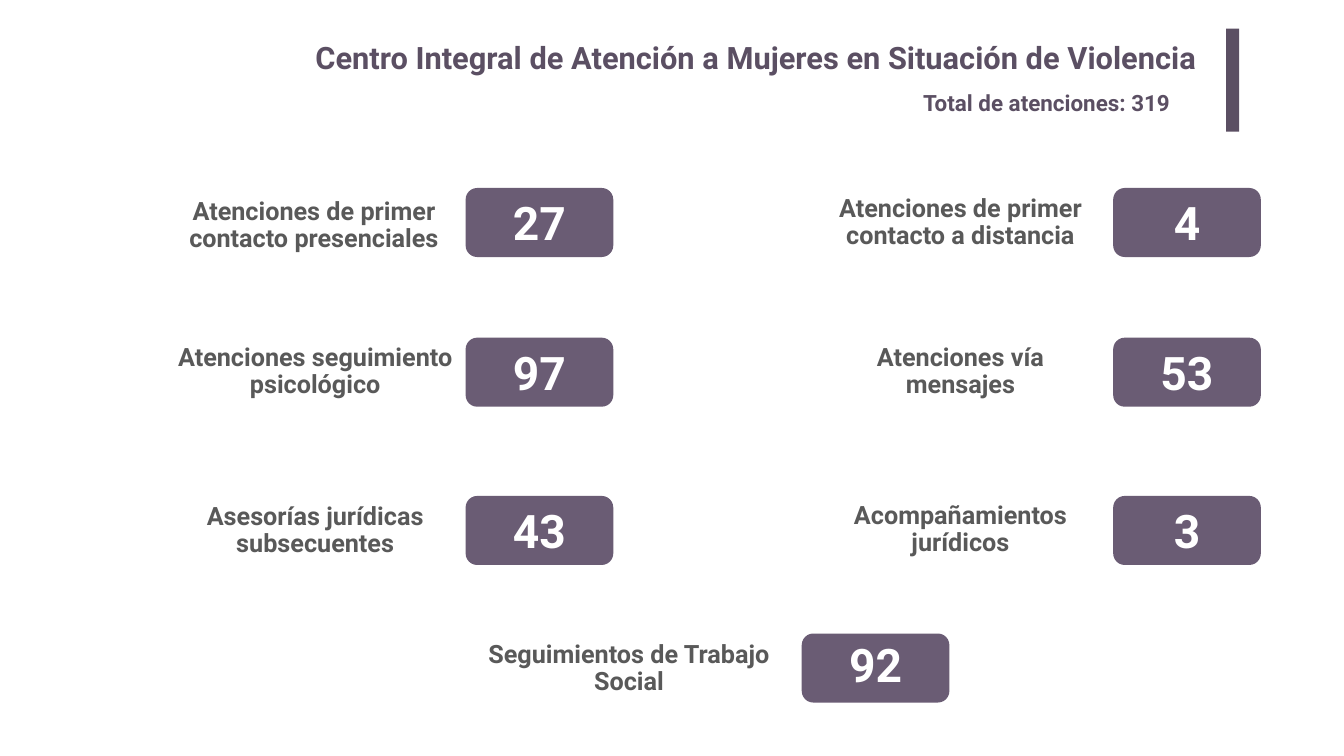
from dataclasses import dataclass

from pptx import Presentation
from pptx.dml.color import RGBColor
from pptx.enum import shapes, text
from pptx.util import Inches, Pt

FONT = "Roboto"
HEADING = RGBColor(0x5B, 0x4F, 0x63)
BADGE = RGBColor(0x6A, 0x5C, 0x74)
LABEL = RGBColor(0x59, 0x59, 0x59)
WHITE = RGBColor(0xFF, 0xFF, 0xFF)

BADGE_WIDTH, BADGE_HEIGHT = 2.93, 1.37
COUNT_WIDTH, COUNT_HEIGHT = 2.04, 1.21
LEFT_BADGE, RIGHT_BADGE, LAST_BADGE = 9.24, 22.09, 15.91
ROWS = (3.73, 6.7, 9.84, 12.57)
COUNT_OFFSET = (BADGE_HEIGHT - COUNT_HEIGHT) / 2


@dataclass(frozen=True)
class Box:
    left: float
    top: float
    width: float
    height: float

    def lengths(self):
        return [Inches(v) for v in (self.left, self.top, self.width, self.height)]


@dataclass(frozen=True)
class Indicator:
    label: str
    count: int
    label_box: Box
    badge_left: float
    badge_top: float
    count_offset: float = COUNT_OFFSET


INDICATORS = (
    Indicator("Atenciones de primer contacto presenciales", 27,
              Box(3.49, 3.8, 5.48, 1.37), LEFT_BADGE, ROWS[0]),
    Indicator("Atenciones de primer contacto a distancia", 4,
              Box(16.48, 3.81, 5.16, 1.21), RIGHT_BADGE, ROWS[0]),
    Indicator("Atenciones seguimiento psicológico", 97,
              Box(2.35, 7.12, 7.81, 0.53), LEFT_BADGE, ROWS[1]),
    Indicator("Atenciones vía mensajes", 53,
              Box(16.56, 6.86, 5, 1.05), RIGHT_BADGE, ROWS[1]),
    Indicator("Asesorías jurídicas subsecuentes", 43,
              Box(3.23, 10.13, 6.05, 0.8), LEFT_BADGE, ROWS[2]),
    Indicator("Acompañamientos jurídicos", 3,
              Box(15.83, 10.2, 6.46, 0.64), RIGHT_BADGE, ROWS[2]),
    Indicator("Seguimientos de Trabajo Social", 92,
              Box(9.24, 12.57, 6.48, 1.41), LAST_BADGE, ROWS[3], 0),
)


def write(shape, content: str, size: int, color: RGBColor, align,
          anchor=text.MSO_ANCHOR.TOP):
    """Fill the shape with one bold paragraph and return that paragraph."""
    frame = shape.text_frame
    frame.word_wrap = True
    frame.vertical_anchor = anchor
    paragraph = frame.paragraphs[0]
    paragraph.text = content
    paragraph.alignment = align
    font = paragraph.font
    font.name, font.size, font.bold = FONT, Pt(size), True
    font.color.rgb = color
    return paragraph


def add_block(slide, kind, box: Box, color: RGBColor):
    """Add a filled shape without line or shadow."""
    shape = slide.shapes.add_shape(kind, *box.lengths())
    shape.shadow.inherit = False
    shape.fill.solid()
    shape.fill.fore_color.rgb = color
    shape.line.fill.background()
    return shape


def add_heading(slide) -> None:
    title = slide.shapes.title
    title.left, title.top, title.width, title.height = Box(3.66, 0.67, 20.3, 1.02).lengths()
    write(title, "Centro Integral de Atención a Mujeres en Situación de Violencia",
          44, HEADING, text.PP_ALIGN.RIGHT)
    frame = title.text_frame
    frame.auto_size = text.MSO_AUTO_SIZE.NONE
    frame.margin_left = frame.margin_right = Inches(0.2)
    frame.margin_top = frame.margin_bottom = Inches(0.1)

    add_block(slide, shapes.MSO_SHAPE.RECTANGLE, Box(24.33, 0.57, 0.26, 2.04), HEADING)
    total = slide.shapes.add_textbox(*Box(18.22, 1.71, 5.92, 0.64).lengths())
    write(total, "Total de atenciones: 319", 32, HEADING, text.PP_ALIGN.LEFT)


def add_indicator(slide, item: Indicator) -> None:
    label = slide.shapes.add_textbox(*item.label_box.lengths())
    paragraph = write(label, item.label, 36, LABEL, text.PP_ALIGN.CENTER,
                      text.MSO_ANCHOR.MIDDLE)
    paragraph.line_spacing = 0.9

    badge_box = Box(item.badge_left, item.badge_top, BADGE_WIDTH, BADGE_HEIGHT)
    add_block(slide, shapes.MSO_SHAPE.ROUNDED_RECTANGLE, badge_box, BADGE)

    count_box = Box(item.badge_left + (BADGE_WIDTH - COUNT_WIDTH) / 2,
                    item.badge_top + item.count_offset, COUNT_WIDTH, COUNT_HEIGHT)
    count = slide.shapes.add_textbox(*count_box.lengths())
    write(count, str(item.count), 66, WHITE, text.PP_ALIGN.CENTER)


def main() -> None:
    presentation = Presentation()
    presentation.slide_width = Inches(26.67)
    presentation.slide_height = Inches(15)
    slide = presentation.slides.add_slide(presentation.slide_layouts[5])
    add_heading(slide)
    for item in INDICATORS:
        add_indicator(slide, item)
    presentation.save("out.pptx")


if __name__ == "__main__":
    main()
